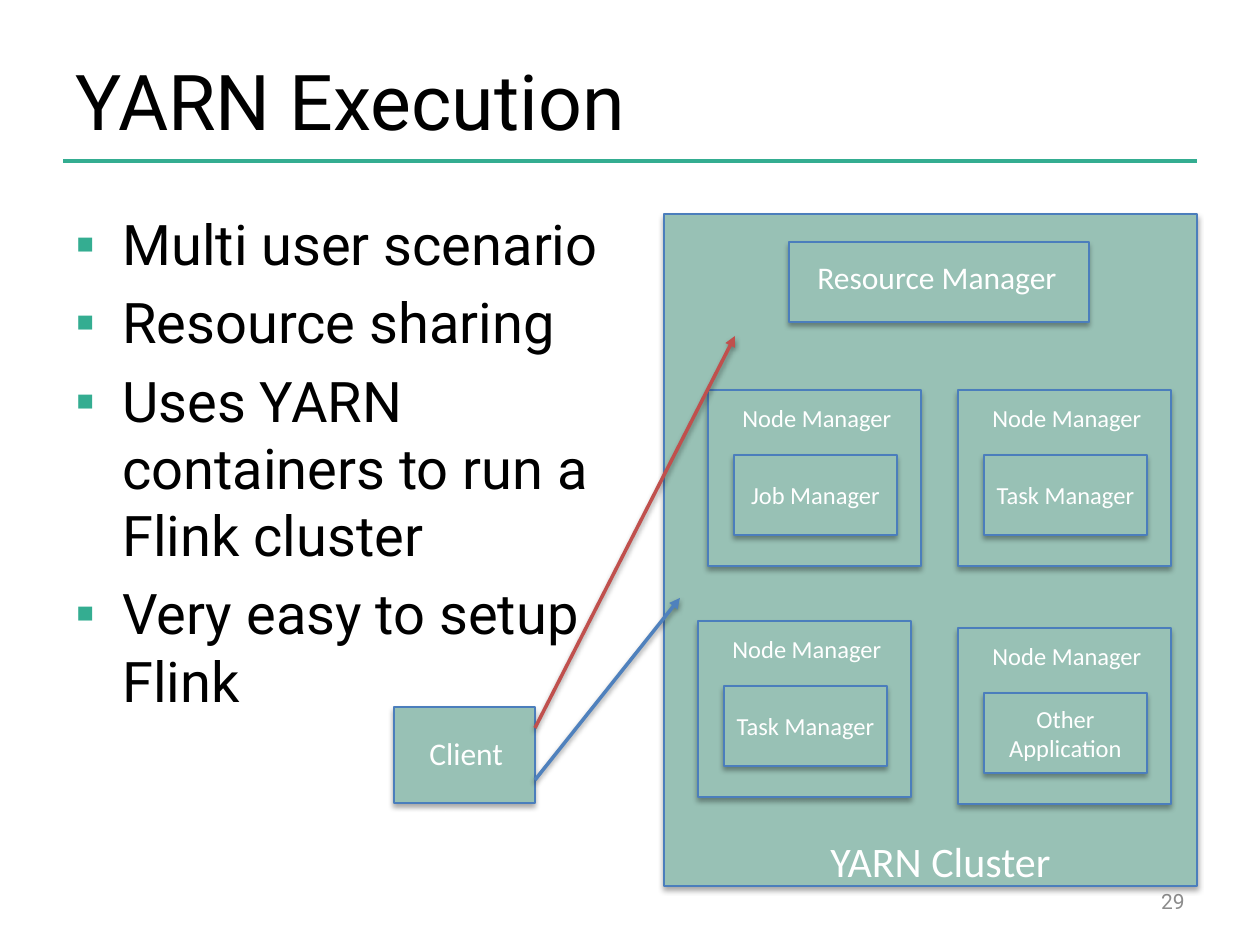
from dataclasses import dataclass

from lxml import etree
from pptx import Presentation
from pptx import util as u
from pptx.dml.color import RGBColor
from pptx.enum import shapes, text
from pptx.oxml import parse_xml
from pptx.oxml.ns import nsdecls, qn

EMU_PER_PX = 914400 / 126


@dataclass(frozen=True)
class Theme:
    """Colours, fonts and type sizes of the slide."""
    ink: str = "000000"
    accent: str = "34AD91"
    box_fill: str = "98C1B5"
    box_line: str = "4B7EBC"
    box_text: str = "FFFFFF"
    page_number: str = "8C8C8C"
    red_arrow: str = "C0504D"
    blue_arrow: str = "4F81BD"
    heading_font: str = "Roboto"
    diagram_font: str = "Calibri"
    title_size: int = 44
    bullet_size: int = 32
    cluster_size: int = 24
    label_size: int = 18
    node_size: int = 14
    page_size: int = 12


THEME = Theme()
BULLETS = [
    "Multi user scenario",
    "Resource sharing",
    "Uses YARN containers to run a Flink cluster",
    "Very easy to setup Flink",
]
NODES = [
    (708, 390, "Job Manager"),
    (698, 621, "Task Manager"),
    (958, 390, "Task Manager"),
    (958, 628, "Other Application"),
]


def px(*lengths):
    """Turn pixel lengths into EMU."""
    return [u.Emu(round(length * EMU_PER_PX)) for length in lengths]


def add_run(paragraph, words, font, size, color):
    """Add one styled run to a paragraph."""
    run = paragraph.add_run()
    run.text = words
    run.font.name = font
    run.font.size = u.Pt(size)
    run.font.color.rgb = RGBColor.from_string(color)


def add_shadow(shape, opacity, distance):
    """Give a shape a soft shadow that falls straight down."""
    shape._element.spPr.append(parse_xml(
        f'<a:effectLst {nsdecls("a")}><a:outerShdw blurRad="{u.Pt(3.1)}" '
        f'dist="{u.Pt(distance)}" dir="5400000" rotWithShape="0">'
        f'<a:srgbClr val="000000"><a:alpha val="{opacity * 1000}"/></a:srgbClr>'
        '</a:outerShdw></a:effectLst>'))


def add_text(parent, box, words, size, color=THEME.box_text, font=THEME.diagram_font,
             wrap=True, anchor=text.MSO_ANCHOR.TOP, align=text.PP_ALIGN.LEFT):
    """Add a text box holding a single line of text."""
    frame = parent.add_textbox(*px(*box)).text_frame
    frame.word_wrap = wrap
    frame.vertical_anchor = anchor
    paragraph = frame.paragraphs[0]
    paragraph.alignment = align
    add_run(paragraph, words, font, size, color)


def add_bullets(parent, box, items):
    """Add the bulleted list."""
    frame = parent.add_textbox(*px(*box)).text_frame
    frame.word_wrap = True
    for index, item in enumerate(items):
        paragraph = frame.add_paragraph() if index else frame.paragraphs[0]
        properties = paragraph._p.get_or_add_pPr()
        indent = px(47)[0]
        properties.set("marL", str(indent))
        properties.set("indent", str(-indent))
        color = etree.SubElement(properties, qn("a:buClr"))
        etree.SubElement(color, qn("a:srgbClr"), val=THEME.accent)
        etree.SubElement(properties, qn("a:buFont"), typeface="Arial")
        etree.SubElement(properties, qn("a:buChar"), char="▪")
        if index:
            paragraph.space_before = u.Pt(THEME.bullet_size * 0.2)
        add_run(paragraph, item, THEME.heading_font, THEME.bullet_size, THEME.ink)


def add_box(parent, box, words=""):
    """Add a shadowed rectangle, with centred text if given."""
    shape = parent.add_shape(shapes.MSO_SHAPE.RECTANGLE, *px(*box))
    shape.fill.solid()
    shape.fill.fore_color.rgb = RGBColor.from_string(THEME.box_fill)
    shape.line.color.rgb = RGBColor.from_string(THEME.box_line)
    shape.line.width = u.Pt(0.75)
    add_shadow(shape, 35, 1.8)
    if words:
        frame = shape.text_frame
        frame.word_wrap = True
        frame.vertical_anchor = text.MSO_ANCHOR.MIDDLE
        paragraph = frame.paragraphs[0]
        paragraph.alignment = text.PP_ALIGN.CENTER
        add_run(paragraph, words, THEME.diagram_font, THEME.node_size, THEME.box_text)


def add_labelled_box(parent, box, label_box, label):
    """Add a grouped rectangle and label."""
    group = parent.add_group_shape().shapes
    add_box(group, box)
    add_text(group, label_box, label, THEME.label_size, wrap=False)


def add_node(parent, left, top, process):
    """Add a node manager with the process that it runs."""
    group = parent.add_group_shape().shapes
    add_box(group, (left, top, 213, 176))
    add_text(group, (left + 22, top + 7, 180, 43), "Node Manager", THEME.node_size)
    add_box(group, (left + 26, top + 65, 163, 80), process)


def add_line(parent, ends, color):
    """Add a straight line without a shadow of its own style."""
    line = parent.add_connector(shapes.MSO_CONNECTOR.STRAIGHT, *px(*ends))
    line.line.color.rgb = RGBColor.from_string(color)
    line.line.width = u.Pt(2)
    return line


def add_rule(parent, ends, color):
    """Add a flat line."""
    line = add_line(parent, ends, color)
    etree.SubElement(line._element.spPr, qn("a:effectLst"))


def add_arrow(parent, ends, color):
    """Add a shadowed line with an arrowhead at its end."""
    line = add_line(parent, ends, color)
    etree.SubElement(line.line._get_or_add_ln(), qn("a:tailEnd"), type="triangle")
    add_shadow(line, 38, 1.6)


def main():
    """Build the slide and save it."""
    presentation = Presentation()
    presentation.slide_width, presentation.slide_height = px(1260, 945)
    slide = presentation.slides.add_slide(presentation.slide_layouts[6])
    parent = slide.shapes

    add_rule(parent, (63, 161, 1197, 161), THEME.accent)
    add_text(parent, (63, 38, 1029, 123), "YARN Execution", THEME.title_size, THEME.ink,
             THEME.heading_font, anchor=text.MSO_ANCHOR.MIDDLE)
    add_bullets(parent, (63, 203, 568, 641), BULLETS)
    add_text(parent, (903, 876, 294, 50), "29", THEME.page_size, THEME.page_number,
             THEME.heading_font, anchor=text.MSO_ANCHOR.MIDDLE, align=text.PP_ALIGN.RIGHT)

    add_labelled_box(parent, (394, 707, 141, 96), (417, 728, 101, 50), "Client")
    add_box(parent, (664, 214, 533, 672))
    add_text(parent, (818, 829, 252, 63), "YARN Cluster", THEME.cluster_size, wrap=False)
    add_labelled_box(parent, (789, 242, 300, 80), (805, 252, 268, 50), "Resource Manager")
    for left, top, process in NODES:
        add_node(parent, left, top, process)

    add_arrow(parent, (535, 728, 735, 336), THEME.red_arrow)
    add_arrow(parent, (535, 780, 680, 598), THEME.blue_arrow)
    presentation.save("out.pptx")


if __name__ == "__main__":
    main()
